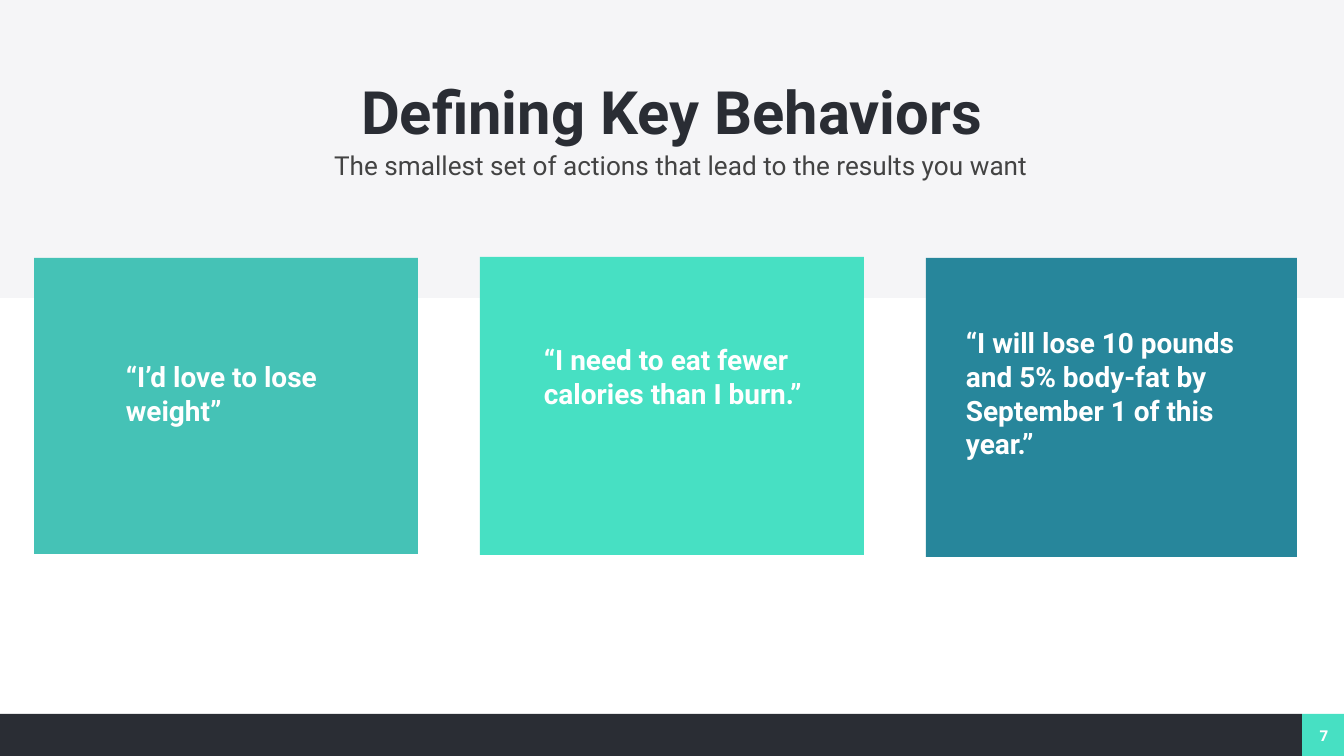
from lxml import etree
from pptx import Presentation
from pptx.dml.color import RGBColor
from pptx.enum import shapes, text
from pptx.oxml.ns import qn

PX = 914400 / 134.4
W, H = 1344, 756
INSET = 5

DARK = RGBColor(0x2A, 0x2D, 0x34)
GREY = RGBColor(0x43, 0x43, 0x43)
PALE = RGBColor(0xE7, 0xE7, 0xEC)
WHITE = RGBColor(0xFF, 0xFF, 0xFF)
TEAL = RGBColor(0x45, 0xC2, 0xB6)
MINT = RGBColor(0x47, 0xE0, 0xC3)
BLUE = RGBColor(0x27, 0x86, 0x9B)

TITLE = "Defining Key Behaviors"
SUBTITLE = "The smallest set of actions that lead to the results you want"
PAGE = "7"

# Card box, fill, quote box, quote
CARDS = [
    ((34, 258, 384, 296), TEAL, (121, 355, 211, 77),
     "“I’d love to lose weight”"),
    ((480, 257, 384, 298), MINT, (539, 338, 289, 110),
     "“I need to eat fewer calories than I burn.”"),
    ((926, 258, 371, 299), BLUE, (961, 321, 327, 144),
     "“I will lose 10 pounds and 5% body-fat by September 1 of this year.”"),
]

BAND_H = 298
FOOTER_TOP = 714
PAGE_LEFT = 1302

TITLE_FONT = dict(name="Roboto", size=32, bold=True, color=DARK)
SUBTITLE_FONT = dict(name="Roboto", size=14, bold=False, color=GREY)
QUOTE_FONT = dict(name="Roboto", size=15, bold=True, color=WHITE)
PAGE_FONT = dict(name="Open Sans", size=8, bold=True, color=WHITE)


def px(n):
    return round(n * PX)


def add_rect(s, box, fill):
    sp = s.shapes.add_shape(shapes.MSO_SHAPE.RECTANGLE, *map(px, box))
    sp.shadow.inherit = False
    sp.fill.solid()
    sp.fill.fore_color.rgb = fill
    sp.line.fill.background()
    return sp


def set_opacity(sp, percent):
    color = sp._element.spPr.find(qn("a:solidFill"))[0]
    etree.SubElement(color, qn("a:alpha")).set("val", str(percent * 1000))


def add_text(s, box, content, font, align=text.PP_ALIGN.LEFT,
             anchor=text.MSO_ANCHOR.TOP):
    """Add a one-paragraph text box and return its paragraph."""
    tf = s.shapes.add_textbox(*map(px, box)).text_frame
    tf.word_wrap = True
    tf.vertical_anchor = anchor
    for side in ("left", "top", "right", "bottom"):
        setattr(tf, f"margin_{side}", px(INSET))
    p = tf.paragraphs[0]
    p.alignment = align
    r = p.add_run()
    r.text = content
    for key, value in font.items():
        if key == "color":
            r.font.color.rgb = value
        else:
            setattr(r.font, key, value * 12700 if key == "size" else value)
    return p


def main():
    prs = Presentation()
    prs.slide_width, prs.slide_height = px(W), px(H)
    s = prs.slides.add_slide(prs.slide_layouts[6])
    center = text.PP_ALIGN.CENTER

    page_box = (PAGE_LEFT, FOOTER_TOP, W - PAGE_LEFT, H - FOOTER_TOP)
    add_rect(s, page_box, MINT)
    add_rect(s, (0, FOOTER_TOP, PAGE_LEFT, H - FOOTER_TOP), DARK)
    add_text(s, (PAGE_LEFT + 2, FOOTER_TOP + 2, 40, 40), PAGE, PAGE_FONT,
             center, text.MSO_ANCHOR.MIDDLE)

    set_opacity(add_rect(s, (0, 0, W, BAND_H), PALE), 40)
    add_text(s, (0, 70, W, 81), TITLE, TITLE_FONT, center)
    p = add_text(s, (0, 140, W, 60), SUBTITLE, SUBTITLE_FONT, center)
    p.line_spacing = 1.15
    p._p.get_or_add_pPr().set("indent", str(px(18)))

    for card_box, fill, quote_box, quote in CARDS:
        add_rect(s, card_box, fill)
        add_text(s, quote_box, quote, QUOTE_FONT)

    prs.save("out.pptx")


if __name__ == "__main__":
    main()
